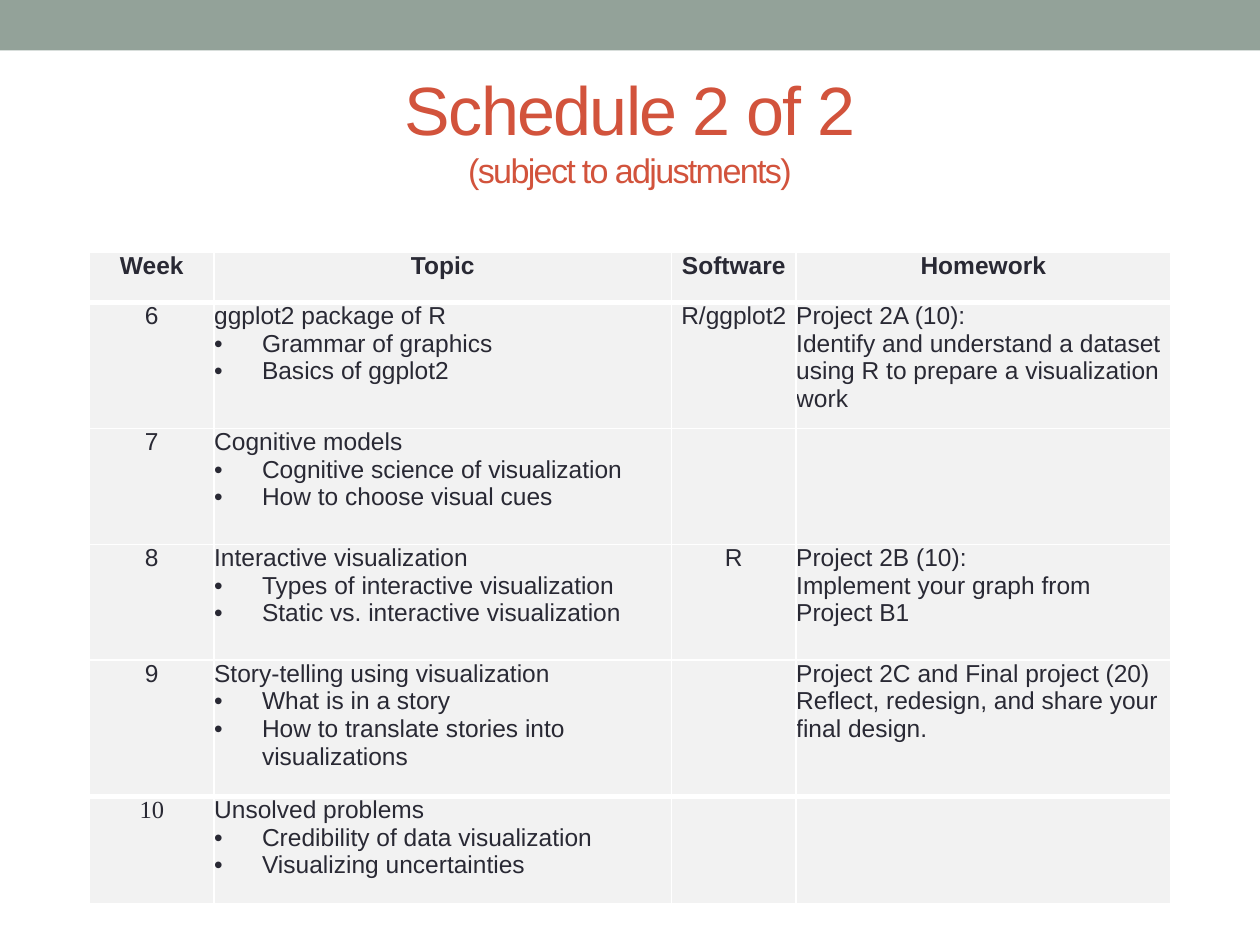
from lxml.etree import SubElement
from pptx import Presentation
from pptx.dml.color import RGBColor
from pptx.enum.shapes import MSO_SHAPE
from pptx.enum.text import MSO_ANCHOR, PP_ALIGN
from pptx.oxml.ns import qn
from pptx.util import Inches, Pt

SAGE = RGBColor(0x93, 0xA2, 0x99)
BRICK = RGBColor(0xD2, 0x53, 0x3C)
INK = RGBColor(0x29, 0x29, 0x34)
PALE = RGBColor(0xF2, 0xF2, 0xF2)
WHITE = RGBColor(0xFF, 0xFF, 0xFF)

FONT = "Arial"
BULLET = "•"
COLUMNS = [0.99, 3.63, 0.99, 2.97]
ROWS = [0.4, 1, 0.92, 0.92, 1.08, 0.85]
CENTERED_COLUMNS = (0, 2)
THIN, THICK = 1, 3

# Each cell is a list of paragraphs; a leading bullet marks a list item.
SCHEDULE = [
    [["Week"], ["Topic"], ["Software"], ["Homework"]],
    [["6"],
     ["ggplot2 package of R", "•Grammar of graphics", "•Basics of ggplot2"],
     ["R/ggplot2"],
     ["Project 2A (10):",
      "Identify and understand a dataset using R to prepare a visualization work"]],
    [["7"],
     ["Cognitive models", "•Cognitive science of visualization",
      "•How to choose visual cues"],
     [], []],
    [["8"],
     ["Interactive visualization", "•Types of interactive visualization",
      "•Static vs. interactive visualization"],
     ["R"],
     ["Project 2B (10):", "Implement your graph from Project B1"]],
    [["9"],
     ["Story-telling using visualization", "•What is in a story",
      "•How to translate stories into visualizations"],
     [],
     ["Project 2C and Final project (20)",
      "Reflect, redesign, and share your final design."]],
    [["10"],
     ["Unsolved problems", "•Credibility of data visualization",
      "•Visualizing uncertainties"],
     [], []],
]


def add_top_band(page, left, top, width, height):
    band = page.shapes.add_shape(MSO_SHAPE.RECTANGLE, left, top, width, height)
    band.shadow.inherit = False
    band.fill.solid()
    band.fill.fore_color.rgb = SAGE
    band.line.fill.background()


def add_title(page, left, top, width, height):
    box = page.shapes.add_textbox(left, top, width, height)
    frame = box.text_frame
    frame.word_wrap = True
    frame.vertical_anchor = MSO_ANCHOR.MIDDLE
    para = frame.paragraphs[0]
    para.text = "Schedule 2 of 2\v(subject to adjustments)"
    para.alignment = PP_ALIGN.CENTER
    for span, size in zip(para.runs, (39, 19.5)):
        span.font.name = FONT
        span.font.size = Pt(size)
        span.font.color.rgb = BRICK
        span.font._element.set("spc", "-100")


def set_borders(cell, top, bottom):
    """Draw white cell borders; top and bottom are widths in points."""
    properties = cell._tc.get_or_add_tcPr()
    sides = {"a:lnL": THIN, "a:lnR": THIN, "a:lnT": top, "a:lnB": bottom}
    for side, width in sides.items():
        line = SubElement(properties, qn(side), w=str(Pt(width)))
        fill = SubElement(line, qn("a:solidFill"))
        SubElement(fill, qn("a:srgbClr"), val=str(WHITE))


def add_bullet(para):
    properties = para._p.get_or_add_pPr()
    properties.set("marL", str(Inches(0.38)))
    properties.set("indent", str(-Inches(0.38)))
    SubElement(properties, qn("a:buFont"), typeface=FONT)
    SubElement(properties, qn("a:buChar"), char=BULLET)
    tabs = SubElement(properties, qn("a:tabLst"))
    SubElement(tabs, qn("a:tab"), pos=str(Inches(0.59)), algn="l")


def fill_cell(cell, lines, centered, bold, font_name):
    cell.margin_left = cell.margin_right = 0
    cell.margin_top = cell.margin_bottom = 0
    cell.fill.solid()
    cell.fill.fore_color.rgb = PALE
    cell.text_frame.text = "\n".join(line.lstrip(BULLET) for line in lines)
    for para, line in zip(cell.text_frame.paragraphs, lines):
        if line.startswith(BULLET):
            add_bullet(para)
        para.alignment = PP_ALIGN.CENTER if centered else PP_ALIGN.LEFT
        for span in para.runs:
            span.font.name = font_name
            span.font.size = Pt(14)
            span.font.bold = bold
            span.font.color.rgb = INK


def add_schedule(page, left, top, width, height):
    table = page.shapes.add_table(
        len(ROWS), len(COLUMNS), left, top, width, height).table
    table.first_row = table.horz_banding = False
    for column, share in zip(table.columns, COLUMNS):
        column.width = int(width * share / sum(COLUMNS))
    for row, share in zip(table.rows, ROWS):
        row.height = int(height * share / sum(ROWS))

    last = len(ROWS) - 1
    for r, row in enumerate(SCHEDULE):
        top_width = THICK if r in (1, last) else THIN
        bottom_width = THICK if r in (0, last - 1) else THIN
        for c, lines in enumerate(row):
            cell = table.cell(r, c)
            set_borders(cell, top_width, bottom_width)
            font_name = "Times New Roman" if lines == ["10"] else FONT
            fill_cell(cell, lines, r == 0 or c in CENTERED_COLUMNS, r == 0, font_name)


def main():
    deck = Presentation()
    deck.slide_width, deck.slide_height = Inches(10), Inches(7.5)
    page = deck.slides.add_slide(deck.slide_layouts[6])
    add_top_band(page, 0, 0, deck.slide_width, Inches(0.4))
    add_title(page, Inches(0.5), Inches(0.48), Inches(9), Inches(1.08))
    add_schedule(page, Inches(0.71), Inches(2),
                 Inches(sum(COLUMNS)), Inches(sum(ROWS)))
    deck.save("out.pptx")


if __name__ == "__main__":
    main()
